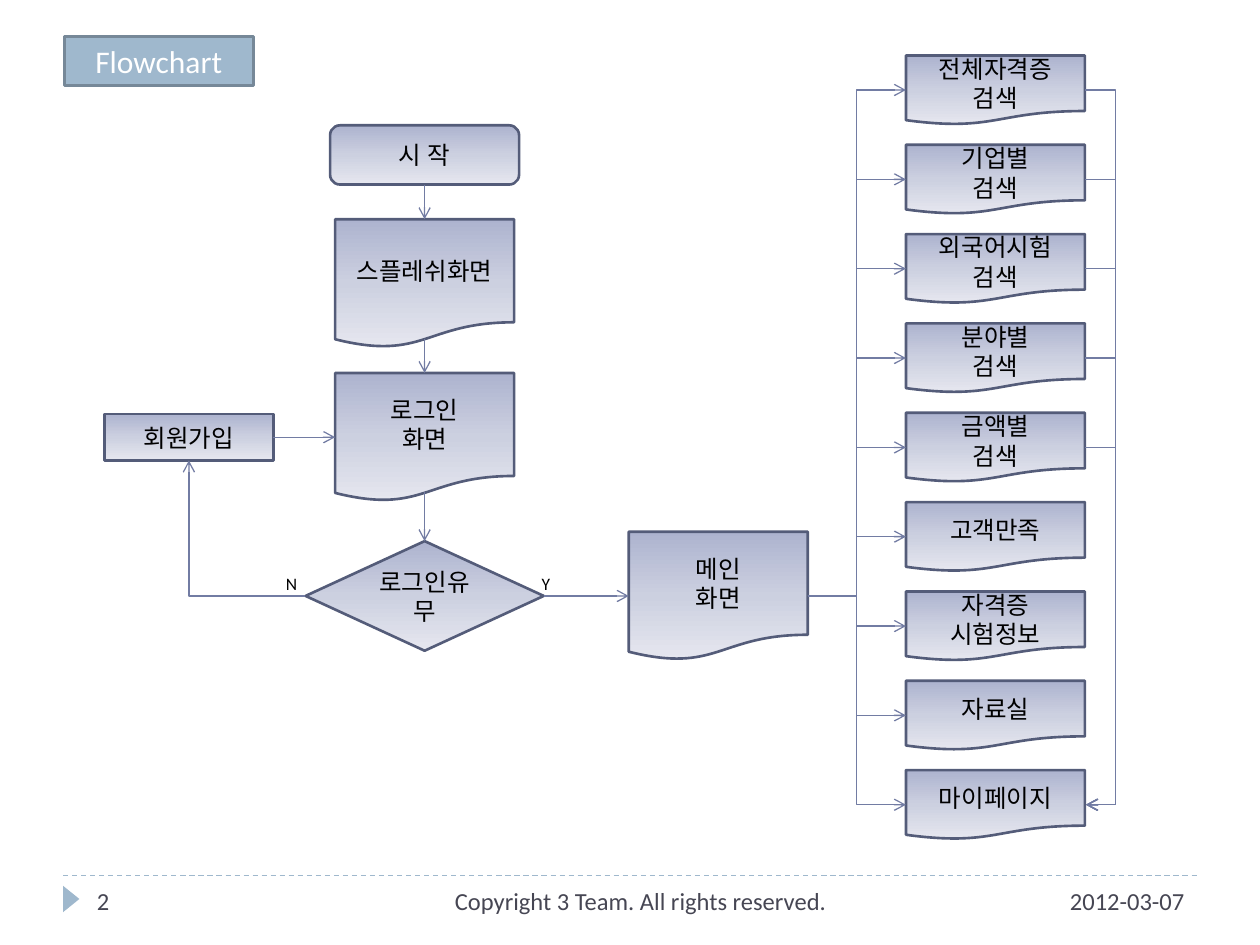
import copy
from dataclasses import dataclass

import pptx
import pptx.dml.color
import pptx.enum.dml
import pptx.enum.lang
import pptx.enum.shapes
import pptx.enum.text
import pptx.oxml
import pptx.oxml.ns
import pptx.util

SHAPE = pptx.enum.shapes.MSO_SHAPE
CONNECTOR = pptx.enum.shapes.MSO_CONNECTOR
ALIGN = pptx.enum.text.PP_ALIGN
MIDDLE = pptx.enum.text.MSO_ANCHOR.MIDDLE
Point = tuple[float, float]


@dataclass(frozen=True)
class Theme:
    font: str = "Calibri"
    title_pt: int = 18
    body_pt: int = 14
    label_pt: int = 10
    border_pt: float = 1.5
    line_pt: float = 0.75
    accent: str = "9FB8CD"
    accent_border: str = "768898"
    white: str = "FFFFFF"
    black: str = "000000"
    footer: str = "464653"
    gradient: tuple[str, str, str] = ("ADB3CF", "CCD0E0", "E6E7EF")
    border: str = "545C79"
    flow: str = "727CA3"


@dataclass(frozen=True)
class Node:
    """A flowchart step, placed by its centre on the grid."""
    text: str
    x: float
    y: float
    w: float
    h: float
    kind: SHAPE = SHAPE.FLOWCHART_DOCUMENT

    @property
    def left(self) -> Point:
        return self.x - self.w / 2, self.y

    @property
    def right(self) -> Point:
        return self.x + self.w / 2, self.y

    @property
    def top(self) -> Point:
        return self.x, self.y - self.h / 2

    @property
    def bottom(self) -> Point:
        """Lower edge at mid-width; a document's wave is a little higher."""
        share = 0.43 if self.kind == SHAPE.FLOWCHART_DOCUMENT else 0.5
        return self.x, self.y + self.h * share


THEME = Theme()
COLUMNS, ROWS = 100, 75
prs = pptx.Presentation()
prs.slide_width, prs.slide_height = pptx.util.Inches(10), pptx.util.Inches(7.5)
slide = prs.slides.add_slide(prs.slide_layouts[5])


def cells(*lengths: float) -> list[int]:
    """Turn lengths in square grid cells into EMU."""
    return [round(prs.slide_width * n / COLUMNS) for n in lengths]


def rgb(value: str) -> pptx.dml.color.RGBColor:
    return pptx.dml.color.RGBColor.from_string(value)


def outline(line, color: str, width: float) -> None:
    line.color.rgb = rgb(color)
    line.width = pptx.util.Pt(width)


def write(sp, text: str, size: int, color: str, align: ALIGN) -> None:
    tf = sp.text_frame
    tf.text = text
    tf.vertical_anchor = MIDDLE
    for p in tf.paragraphs:
        p.alignment = align
        for r in p.runs:
            r.font.name, r.font.size = THEME.font, pptx.util.Pt(size)
            r.font.color.rgb = rgb(color)
            r.font.language_id = pptx.enum.lang.MSO_LANGUAGE_ID.KOREAN


def add_text(text: str, box: tuple, size: int, color: str,
             align: ALIGN = ALIGN.LEFT, wrap: bool = True) -> None:
    sp = slide.shapes.add_textbox(*cells(*box))
    write(sp, text, size, color, align)
    sp.text_frame.word_wrap = wrap


def add_node(node: Node) -> None:
    sp = slide.shapes.add_shape(
        node.kind, *cells(node.left[0], node.top[1], node.w, node.h))
    sp.shadow.inherit = False
    sp.fill.gradient()
    sp.fill.gradient_angle = 270
    stops = next(sp._element.iter(pptx.oxml.ns.qn("a:gsLst")))
    stops.insert(1, copy.deepcopy(stops[0]))
    for i, (stop, color) in enumerate(zip(sp.fill.gradient_stops, THEME.gradient)):
        stop.position, stop.color.rgb = i / 2, rgb(color)
    outline(sp.line, THEME.border, THEME.border_pt)
    write(sp, node.text, THEME.body_pt, THEME.black, ALIGN.CENTER)


def add_line(start: Point, end: Point, kind: CONNECTOR = CONNECTOR.STRAIGHT,
             color: str = THEME.flow):
    cn = slide.shapes.add_connector(kind, *cells(*start, *end))
    outline(cn.line, color, THEME.line_pt)
    pptx.oxml.ns  # namespaces for the added effect list
    cn._element.spPr.append(pptx.oxml.parse_xml(
        f'<a:effectLst {pptx.oxml.ns.nsdecls("a")}/>'))
    return cn


def add_arrow(start: Point, end: Point, kind: CONNECTOR = CONNECTOR.STRAIGHT):
    cn = add_line(start, end, kind)
    cn.line._get_or_add_ln().append(pptx.oxml.parse_xml(
        f'<a:tailEnd {pptx.oxml.ns.nsdecls("a")} type="arrow"/>'))
    return cn


def add_elbow(start: Point, end: Point, bend: float = 0.5) -> None:
    """Bend at a share of the horizontal distance from start to end."""
    geom = add_arrow(start, end, CONNECTOR.ELBOW)._element.spPr.prstGeom
    geom.get_or_add_avLst().append(pptx.oxml.parse_xml(
        f'<a:gd {pptx.oxml.ns.nsdecls("a")} name="adj1" '
        f'fmla="val {round(bend * 100000)}"/>'))


def add_corner(start: Point, end: Point) -> None:
    """Run horizontally, then vertically, with one bend."""
    cn = add_arrow(start, end, CONNECTOR.ELBOW)
    cn._element.spPr.prstGeom.set("prst", "bentConnector2")


def add_frame() -> None:
    title = slide.shapes.title
    title.left, title.top, title.width, title.height = cells(5.1, 2.9, 15, 3.9)
    title.fill.solid()
    title.fill.fore_color.rgb = rgb(THEME.accent)
    outline(title.line, THEME.accent_border, THEME.border_pt)
    write(title, "Flowchart", THEME.title_pt, THEME.white, ALIGN.CENTER)
    title.text_frame.auto_size = pptx.enum.text.MSO_AUTO_SIZE.NONE

    rule = add_line((5, 69.5), (COLUMNS - 5, 69.5), color=THEME.accent)
    rule.line.dash_style = pptx.enum.dml.MSO_LINE.DASH
    marker = slide.shapes.add_shape(SHAPE.ISOSCELES_TRIANGLE,
                                    *cells(4.6, 70.7, 2.1, 1.3))
    marker.rotation = 90
    marker.shadow.inherit = False
    marker.fill.solid()
    marker.fill.fore_color.rgb = rgb(THEME.accent)
    marker.line.fill.background()
    for text, left, width, align in (
            ("2012-03-07", 70, 25, ALIGN.RIGHT),
            ("Copyright 3 Team. All rights reserved.", 31.7, 38.3, ALIGN.CENTER),
            ("2", 6.7, 21.7, ALIGN.LEFT)):
        add_text(text, (left, 69.5, width, 4), THEME.body_pt, THEME.footer, align)


def add_flow() -> None:
    axis, doc_w, doc_h = 33.7, 14.2, 10.2
    start = Node("시 작", axis, 12.3, 15, 4.7, SHAPE.FLOWCHART_ALTERNATE_PROCESS)
    splash = Node("스플레쉬화면", axis, 22.5, doc_w, doc_h)
    login = Node("로그인\n화면", axis, 34.7, doc_w, doc_h)
    check = Node("로그인유무", axis, 47.3, 18.9, 8.7, SHAPE.FLOWCHART_DECISION)
    join = Node("회원가입", 15, 34.7, 13.4, 3.7, SHAPE.RECTANGLE)
    main = Node("메인\n화면", 57, 47.3, doc_w, doc_h)
    names = ("전체자격증\n검색", "기업별\n검색", "외국어시험\n검색", "분야별\n검색",
             "금액별\n검색", "고객만족", "자격증\n시험정보", "자료실", "마이페이지")
    menu = [Node(name, 79, 7.15 + 7.09 * i, doc_w, 5.5)
            for i, name in enumerate(names)]
    for node in (start, splash, login, check, join, main, *menu):
        add_node(node)

    steps = (start, splash, login, check)
    for upper, lower in zip(steps, steps[1:]):
        add_arrow(upper.bottom, lower.top)
    add_arrow(join.right, login.left)
    add_arrow(check.right, main.left)
    add_corner(check.left, join.bottom)
    for item in menu:
        add_elbow(main.right, item.left)
    my_page_x, my_page_y = menu[-1].right
    for search in menu[:5]:
        add_elbow(search.right, (my_page_x + 0.1, my_page_y), bend=25)
    for text, left in (("N", 21.7), ("Y", 42)):
        add_text(text, (left, 45, 3, 2.7), THEME.label_pt, THEME.black, wrap=False)


add_frame()
add_flow()
prs.save("out.pptx")
